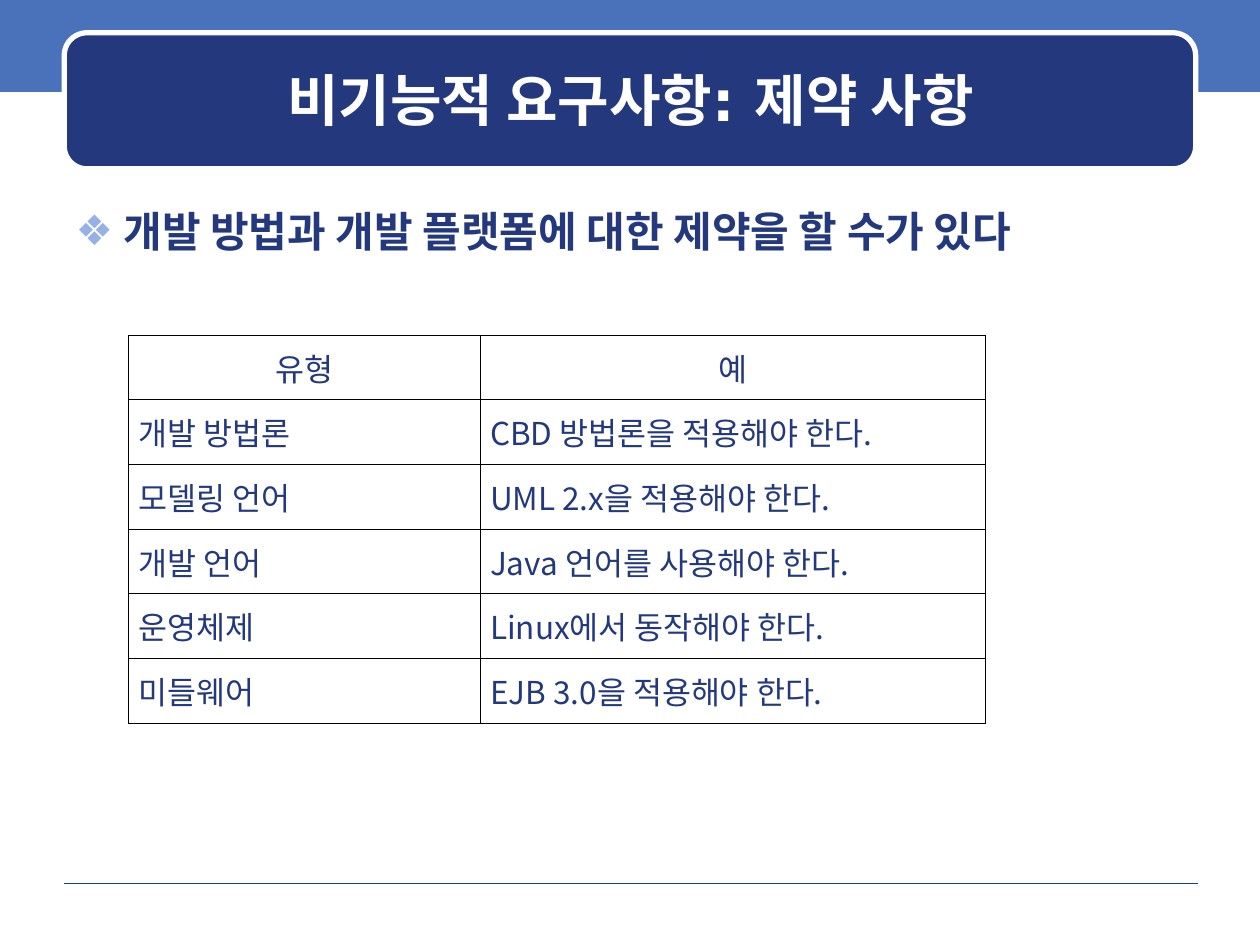
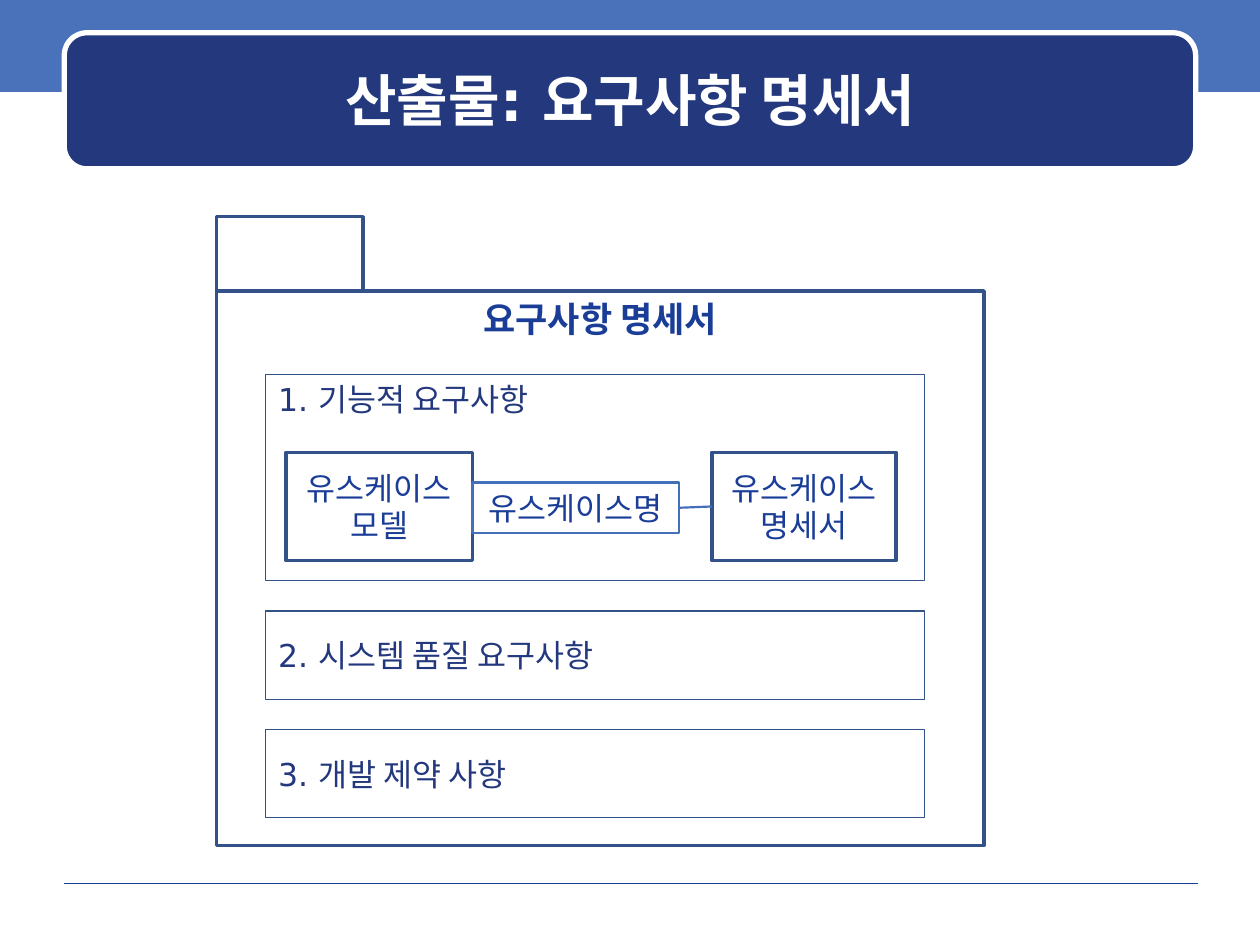
from lxml.etree import SubElement
from pptx import Presentation
from pptx.dml.color import RGBColor
from pptx.enum.shapes import MSO_CONNECTOR, MSO_SHAPE
from pptx.enum.text import MSO_ANCHOR, MSO_AUTO_SIZE, PP_ALIGN
from pptx.oxml.ns import qn
from pptx.util import Inches, Pt

COLORS = {
    "band": "4972BB",
    "navy": "23387D",
    "blue": "1A3D97",
    "frame": "335289",
    "link": "446FBA",
    "bullet": "96B1E6",
    "white": "FFFFFF",
    "black": "000000",
}
SANS = "DejaVu Sans"
KOREAN = "Noto Sans CJK KR"
TITLE_BOX = (0.51, 0.26, 8.98, 1.08)
BULLET_BOX = (0.5, 1.58, 9, 0.6)
TABLE_BOX = (1.02, 2.66, 6.8, 3.08)
FOLDER_BOX = (1.72, 1.72, 6.09, 4.99)

CONSTRAINTS = [
    ("유형", "예"),
    ("개발 방법론", "CBD 방법론을 적용해야 한다."),
    ("모델링 언어", "UML 2.x을 적용해야 한다."),
    ("개발 언어", "Java 언어를 사용해야 한다."),
    ("운영체제", "Linux에서 동작해야 한다."),
    ("미들웨어", "EJB 3.0을 적용해야 한다."),
]


def rgb(name):
    return RGBColor.from_string(COLORS[name])


def inches(box):
    return [Inches(length) for length in box]


def write(frame, text, size, color, font=SANS, bold=False,
          align=PP_ALIGN.LEFT, anchor=MSO_ANCHOR.MIDDLE):
    """Fill a text frame and format every run alike."""
    frame.text = text
    frame.vertical_anchor = anchor
    for paragraph in frame.paragraphs:
        paragraph.alignment = align
        paragraph.space_before = Pt(0)
        for run in paragraph.runs:
            run.font.size = Pt(size)
            run.font.bold = bold
            run.font.name = font
            run.font.color.rgb = rgb(color)
            SubElement(run.font._element, qn("a:ea"), typeface=KOREAN)


def add_box(slide, box, line=None, width=1, fill=None, kind=MSO_SHAPE.RECTANGLE):
    shape = slide.shapes.add_shape(kind, *inches(box))
    shape.shadow.inherit = False
    if fill:
        shape.fill.solid()
        shape.fill.fore_color.rgb = rgb(fill)
    else:
        shape.fill.background()
    if line:
        shape.line.color.rgb = rgb(line)
        shape.line.width = Pt(width)
    else:
        shape.line.fill.background()
    return shape


def add_line(slide, start, end, color, width):
    line = slide.shapes.add_connector(MSO_CONNECTOR.STRAIGHT, *inches(start + end))
    line.line.color.rgb = rgb(color)
    line.line.width = Pt(width)
    SubElement(line._element.spPr, qn("a:effectLst"))


def add_base_slide(prs, layout, title):
    """Add a slide with the top band, title panel and footer rule."""
    slide = prs.slides.add_slide(prs.slide_layouts[layout])
    add_box(slide, (0, 0, 10, 0.73), fill="band")
    add_line(slide, (0.51, 7.01), (9.51, 7.01), "blue", 0.25)
    add_box(slide, TITLE_BOX, "white", 3, "navy", MSO_SHAPE.ROUNDED_RECTANGLE)

    heading = slide.shapes.title
    slide.shapes._spTree.append(heading._element)  # bring above the panel
    x, y, w, h = TITLE_BOX
    heading.left, heading.top, heading.width, heading.height = inches(
        (x + 0.09, y + 0.09, w - 0.17, h - 0.2))
    heading.text_frame.auto_size = MSO_AUTO_SIZE.NONE
    write(heading.text_frame, title, 32, "white", bold=True, align=PP_ALIGN.CENTER)
    return slide


def fill_bullet(body, box, text):
    body.left, body.top, body.width, body.height = inches(box)
    body.text_frame.auto_size = MSO_AUTO_SIZE.NONE
    write(body.text_frame, text, 24, "navy", KOREAN, True, anchor=MSO_ANCHOR.TOP)
    props = body.text_frame.paragraphs[0]._p.get_or_add_pPr()
    props.set("marL", str(Inches(0.38)))
    props.set("indent", str(-Inches(0.38)))
    bullet_color = SubElement(props, qn("a:buClr"))
    SubElement(bullet_color, qn("a:srgbClr"), val=COLORS["bullet"])
    SubElement(props, qn("a:buFont"), typeface=SANS)
    SubElement(props, qn("a:buChar"), char="❖")


def outline_cell(cell):
    props = cell._tc.get_or_add_tcPr()
    for position, side in enumerate(("lnL", "lnR", "lnT", "lnB")):
        border = props.makeelement(qn(f"a:{side}"), {"w": str(Pt(0.45))})
        props.insert(position, border)
        solid = SubElement(border, qn("a:solidFill"))
        SubElement(solid, qn("a:srgbClr"), val=COLORS["black"])


def add_constraint_table(slide, box):
    table = slide.shapes.add_table(len(CONSTRAINTS), 2, *inches(box)).table
    table.first_row = table.horz_banding = False
    type_width = 2.79
    table.columns[0].width = Inches(type_width)
    table.columns[1].width = Inches(box[2] - type_width)
    for r, row in enumerate(CONSTRAINTS):
        for c, text in enumerate(row):
            cell = table.cell(r, c)
            cell.fill.background()
            cell.margin_left = cell.margin_right = Inches(0.08)
            write(cell.text_frame, text, 18, "navy", KOREAN,
                  align=PP_ALIGN.JUSTIFY if r else PP_ALIGN.CENTER)
            cell.vertical_anchor = MSO_ANCHOR.MIDDLE
            outline_cell(cell)


def add_use_case_link(slide, box):
    """Draw the use case model, its name label and its specification."""
    x, y, w, h = box
    model_width, spec_width, label_width = 1.48, 1.46, 1.64
    spec_left = x + w - spec_width
    for left, width, text in ((x, model_width, "유스케이스\n모델"),
                              (spec_left, spec_width, "유스케이스\n명세서")):
        part = add_box(slide, (left, y, width, h), "frame", 2)
        write(part.text_frame, text, 18, "blue", align=PP_ALIGN.CENTER)

    label_left = x + model_width
    label = add_box(slide, (label_left, y + 0.24, label_width, 0.4), "link", 1.25)
    label.text_frame.margin_left = label.text_frame.margin_right = 0
    # Centred text sits evenly in the narrow label
    write(label.text_frame, "유스케이스명", 18, "blue", align=PP_ALIGN.CENTER)
    add_line(slide, (label_left + label_width, y + 0.44),
             (spec_left, y + h / 2), "link", 1.25)


def add_specification_folder(slide, box):
    """Draw the folder with its three numbered sections."""
    x, y, w, h = box
    tab_height = 0.59
    folder = add_box(slide, (x, y + tab_height, w, h - tab_height), "frame", 2)
    write(folder.text_frame, "요구사항 명세서", 20, "blue", KOREAN, True,
          PP_ALIGN.CENTER, MSO_ANCHOR.TOP)
    add_box(slide, (x, y, 1.16, tab_height), "frame", 2)

    sections = [
        ("1. 기능적 요구사항", 1.64, MSO_ANCHOR.TOP),
        ("2. 시스템 품질 요구사항", 0.7, MSO_ANCHOR.MIDDLE),
        ("3. 개발 제약 사항", 0.7, MSO_ANCHOR.MIDDLE),
    ]
    top, gap = y + 1.25, 0.24
    for text, height, anchor in sections:
        section = add_box(slide, (x + 0.39, top, 5.23, height), "frame", 0.75)
        write(section.text_frame, text, 18, "navy", anchor=anchor)
        top += height + gap
    add_use_case_link(slide, (x + 0.55, y + 1.87, 4.84, 0.86))


def build_constraints_slide(prs):
    slide = add_base_slide(prs, 1, "비기능적 요구사항: 제약 사항")
    fill_bullet(slide.placeholders[1], BULLET_BOX,
                "개발 방법과 개발 플랫폼에 대한 제약을 할 수가 있다")
    add_constraint_table(slide, TABLE_BOX)


def build_specification_slide(prs):
    slide = add_base_slide(prs, 5, "산출물: 요구사항 명세서")
    add_specification_folder(slide, FOLDER_BOX)


def main():
    prs = Presentation()
    prs.slide_width, prs.slide_height = Inches(10), Inches(7.5)
    build_constraints_slide(prs)
    build_specification_slide(prs)
    prs.save("out.pptx")


if __name__ == "__main__":
    main()
